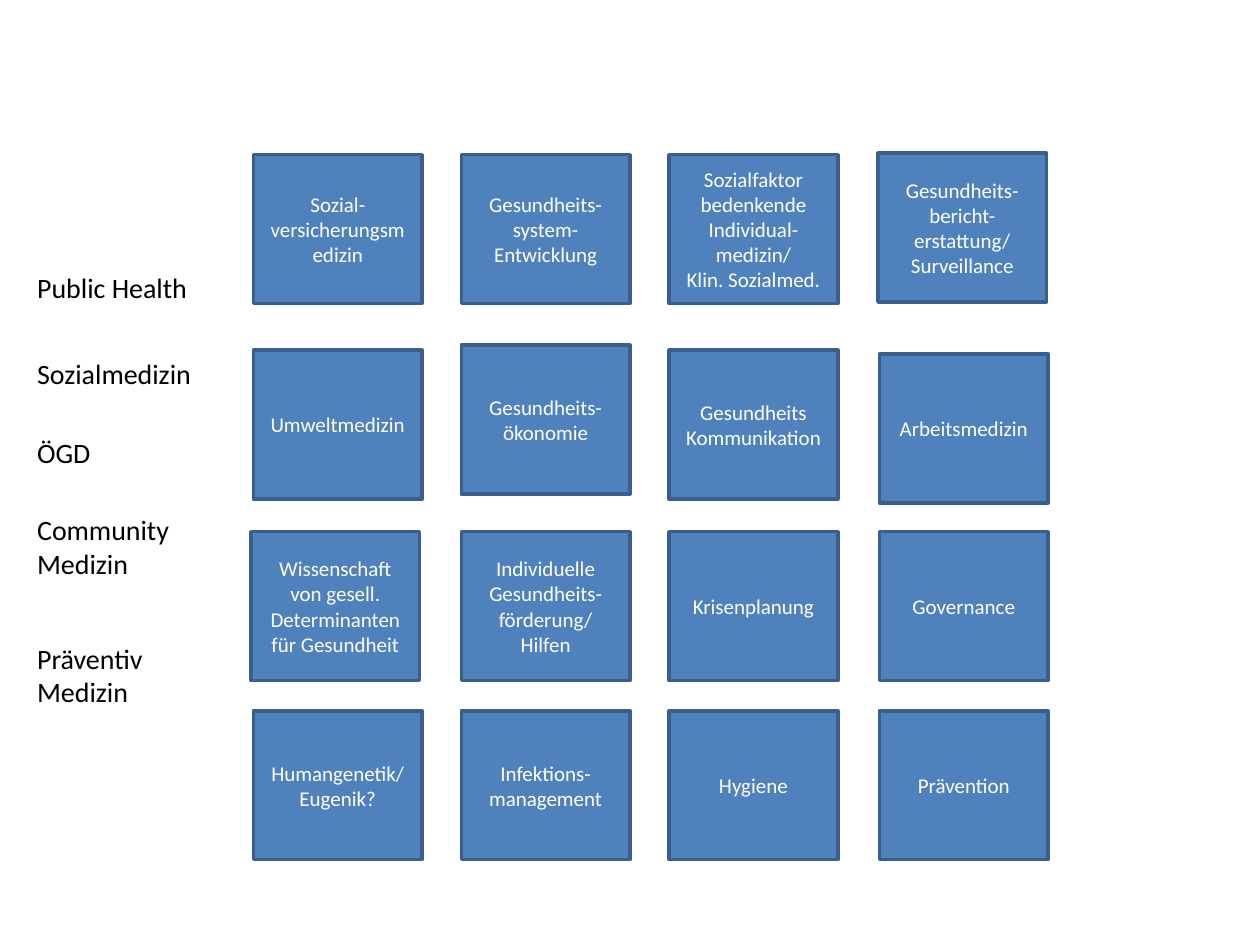
from dataclasses import dataclass

from pptx import Presentation
from pptx.dml.color import RGBColor
from pptx.enum.shapes import MSO_SHAPE as Shape
from pptx.enum.text import MSO_ANCHOR as Anchor, MSO_AUTO_SIZE as AutoSize, PP_ALIGN as Align
from pptx.slide import Slide
from pptx.text.text import TextFrame
from pptx.util import Cm, Pt

COLORS = {"box": "4F81BD", "border": "3A5F8C", "box_text": "FFFFFF", "label": "000000"}
FONT = "Calibri"
COLUMNS = (5.11, 9.3, 13.49, 17.73)
ROWS = (3.12, 7.06, 10.72, 14.33)
BOX_WIDTH, BOX_HEIGHT = 3.4, 3.0
LABEL_LEFT = 0.5


@dataclass(frozen=True)
class Topic:
    lines: tuple[str, ...]
    shift_x: float = 0
    shift_y: float = 0


@dataclass(frozen=True)
class Label:
    lines: tuple[str, ...]
    top: float
    width: float
    height: float = 0.94


TOPICS = (
    (
        Topic(("Sozial-versicherungsmedizin",)),
        Topic(("Gesundheits-system-Entwicklung",)),
        Topic(("Sozialfaktor bedenkende Individual-medizin/", "Klin. Sozialmed.")),
        Topic(("Gesundheits-bericht-erstattung/", "Surveillance"), -0.03, -0.03),
    ),
    (
        Topic(("Umweltmedizin",)),
        Topic(("Gesundheits-ökonomie",), shift_y=-0.1),
        Topic(("Gesundheits Kommunikation",)),
        Topic(("Arbeitsmedizin",), shift_y=0.08),
    ),
    (
        Topic(("Wissenschaft von gesell. Determinanten für Gesundheit",), shift_x=-0.05),
        Topic(("Individuelle Gesundheits-förderung/", "Hilfen")),
        Topic(("Krisenplanung",)),
        Topic(("Governance",)),
    ),
    (
        Topic(("Humangenetik/ Eugenik?",)),
        Topic(("Infektions-management",)),
        Topic(("Hygiene",)),
        Topic(("Prävention",)),
    ),
)

LABELS = (
    Label(("Public Health",), 5.33, 3.56),
    Label(("Sozialmedizin",), 7.06, 3.66),
    Label(("ÖGD",), 8.66, 1.6),
    Label(("Community", "Medizin"), 10.21, 3.33, 1.63),
    Label(("Präventiv", "Medizin"), 12.8, 2.67, 1.63),
)


def color(name: str) -> RGBColor:
    return RGBColor.from_string(COLORS[name])


def write(frame: TextFrame, lines: tuple[str, ...], size: int, color_name: str, align: Align) -> None:
    for index, line in enumerate(lines):
        para = frame.add_paragraph() if index else frame.paragraphs[0]
        para.alignment = align
        run = para.add_run()
        run.text = line
        run.font.name = FONT
        run.font.size = Pt(size)
        run.font.color.rgb = color(color_name)


def draw_topic(page: Slide, topic: Topic, left: float, top: float) -> None:
    box = page.shapes.add_shape(
        Shape.RECTANGLE,
        Cm(left + topic.shift_x),
        Cm(top + topic.shift_y),
        Cm(BOX_WIDTH),
        Cm(BOX_HEIGHT),
    )
    box.shadow.inherit = False
    box.fill.solid()
    box.fill.fore_color.rgb = color("box")
    box.line.color.rgb = color("border")
    box.line.width = Pt(2)
    box.text_frame.word_wrap = True
    box.text_frame.vertical_anchor = Anchor.MIDDLE
    write(box.text_frame, topic.lines, 12, "box_text", Align.CENTER)


def draw_label(page: Slide, label: Label) -> None:
    box = page.shapes.add_textbox(Cm(LABEL_LEFT), Cm(label.top), Cm(label.width), Cm(label.height))
    box.text_frame.word_wrap = False
    box.text_frame.auto_size = AutoSize.SHAPE_TO_FIT_TEXT
    write(box.text_frame, label.lines, 16, "label", Align.LEFT)


def main() -> None:
    deck = Presentation()
    deck.slide_width, deck.slide_height = Cm(25.4), Cm(19.05)
    page = deck.slides.add_slide(deck.slide_layouts[6])
    for top, topics in zip(ROWS, TOPICS):
        for left, topic in zip(COLUMNS, topics):
            draw_topic(page, topic, left, top)
    for label in LABELS:
        draw_label(page, label)
    deck.save("out.pptx")


if __name__ == "__main__":
    main()
